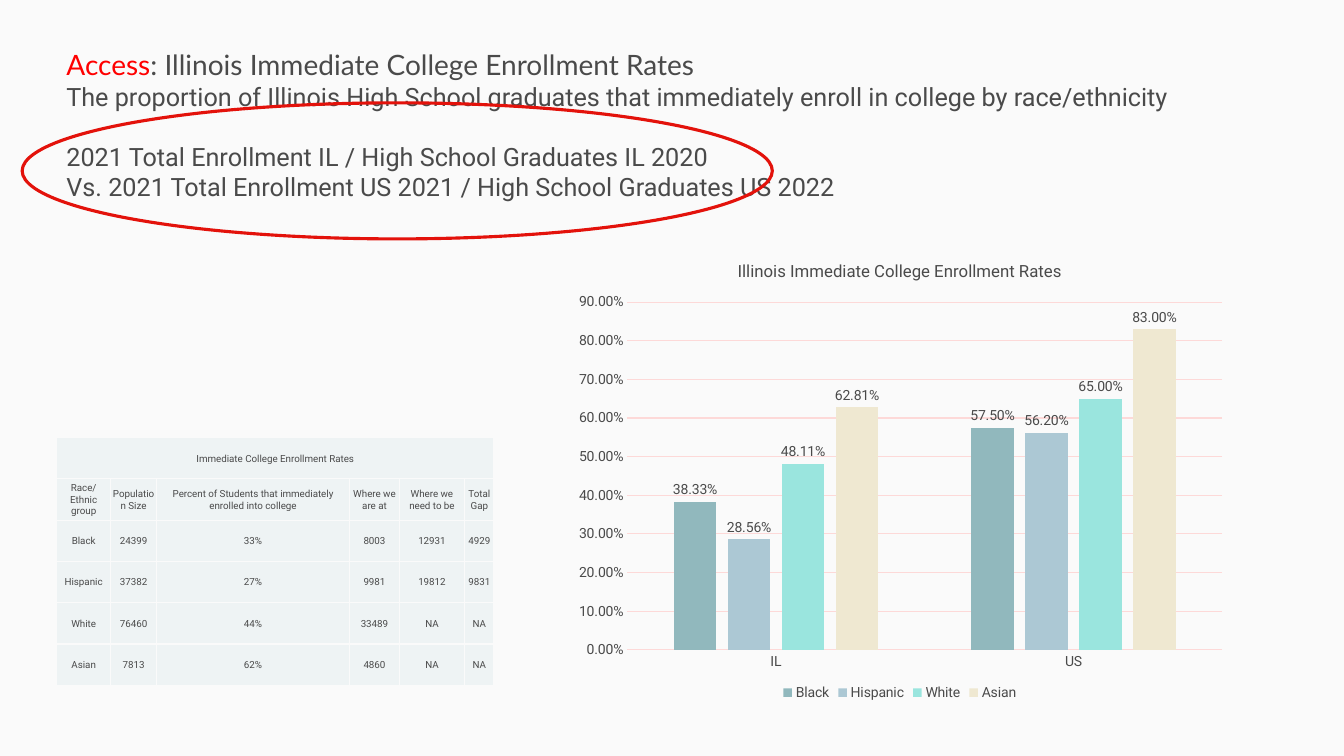
"""Build the Illinois immediate college enrollment slide."""
from lxml import etree
from pptx import Presentation, util as u
from pptx.chart.data import CategoryChartData
from pptx.dml.color import RGBColor
from pptx.enum import chart as ch, shapes, text
from pptx.oxml import parse_xml
from pptx.oxml.ns import nsdecls, qn

INK, PAPER, GRID, CELL = "4A4A4A", "FAFAFA", "FDD9D8", "EEF3F4"


def rgb(value):
    return RGBColor.from_string(value)


def set_font(font, size, color=INK, name="Roboto"):
    font.size, font.name, font.bold = u.Pt(size), name, False
    font.color.rgb = rgb(color)


prs = Presentation()
prs.slide_width, prs.slide_height = u.Inches(13.33), u.Inches(7.5)
s = prs.slides.add_slide(prs.slide_layouts[6])
s.background.fill.solid()
s.background.fill.fore_color.rgb = rgb(PAPER)

tb = s.shapes.add_textbox(u.Inches(0.56), u.Inches(0.42), u.Inches(12.22), u.Inches(1.65))
tf = tb.text_frame
tf.word_wrap = True
p = tf.paragraphs[0]
for words, color in [("Access", "FF0000"),
                     (": Illinois Immediate College Enrollment Rates", INK)]:
    r = p.add_run()
    r.text = words
    set_font(r.font, 20, color, "Lato")
for words, gap in [
    ("The proportion of Illinois High School graduates that immediately enroll in college by race/ethnicity", 0),
    ("2021 Total Enrollment IL / High School Graduates IL 2020", 21.6),
    ("Vs. 2021 Total Enrollment US 2021 / High School Graduates US 2022", 0),
]:
    p = tf.add_paragraph()
    p.text = words
    p.space_before = u.Pt(gap)
    set_font(p.font, 18)

series = [
    ("Black", (0.3833, 0.575), "91B8BD"),
    ("Hispanic", (0.2856, 0.562), "ACC8D4"),
    ("White", (0.4811, 0.65), "9AE5DE"),
    ("Asian", (0.6281, 0.83), "EFE8D1"),
]
data = CategoryChartData(number_format="0.00%")
data.categories = ["IL", "US"]
for name, values, color in series:
    data.add_series(name, values)
chart = s.shapes.add_chart(ch.XL_CHART_TYPE.COLUMN_CLUSTERED, u.Inches(5.58), u.Inches(2.4),
                           u.Inches(6.69), u.Inches(4.59), data).chart
set_font(chart.font, 10)
chart.has_title = True
p = chart.chart_title.text_frame.paragraphs[0]
p.text = "Illinois Immediate College Enrollment Rates"
set_font(p.font, 12)
chart.has_legend = True
chart.legend.position = ch.XL_LEGEND_POSITION.BOTTOM
chart.legend.include_in_layout = False
set_font(chart.legend.font, 10)

cat, val = chart.category_axis, chart.value_axis
for axis in (cat, val):
    axis.major_tick_mark = axis.minor_tick_mark = ch.XL_TICK_MARK.NONE
    set_font(axis.tick_labels.font, 10)
val.minimum_scale, val.maximum_scale, val.major_unit = 0, 0.9, 0.1
val.tick_labels.number_format = "0.00%"
val.tick_labels.number_format_is_linked = False
val.format.line.fill.background()
for line in (cat.format.line, val.major_gridlines.format.line):
    line.color.rgb = rgb(GRID)
    line.width = u.Pt(0.75)

plot = chart.plots[0]
plot.gap_width, plot.overlap, plot.vary_by_categories = 219, -27, False
for bars, (name, values, color) in zip(plot.series, series):
    bars.format.fill.solid()
    bars.format.fill.fore_color.rgb = rgb(color)
    labels = bars.data_labels
    labels.show_value = True
    labels.position = ch.XL_LABEL_POSITION.OUTSIDE_END
    labels.number_format, labels.number_format_is_linked = "0.00%", False
    set_font(labels.font, 10)

area = chart.element.find(".//" + qn("c:plotArea"))
for old in area.findall(qn("c:layout")):
    area.remove(old)
layout = etree.Element(qn("c:layout"))
manual = etree.SubElement(layout, qn("c:manualLayout"))
for tag, value in [("layoutTarget", "inner"), ("xMode", "edge"), ("yMode", "edge"),
                   ("x", "0.096"), ("y", "0.13"), ("w", "0.882"), ("h", "0.752")]:
    etree.SubElement(manual, qn("c:" + tag)).set("val", value)
area.insert(0, layout)

rows = [
    ["Immediate College Enrollment Rates", "", "", "", "", ""],
    ["Race/Ethnic group", "Population Size", "Percent of Students that immediately enrolled into college",
     "Where we are at", "Where we need to be", "Total Gap"],
    ["Black", "24399", "33%", "8003", "12931", "4929"],
    ["Hispanic", "37382", "27%", "9981", "19812", "9831"],
    ["White", "76460", "44%", "33489", "NA", "NA"],
    ["Asian", "7813", "62%", "4860", "NA", "NA"],
]
table = s.shapes.add_table(6, 6, u.Inches(0.56), u.Inches(4.34), u.Inches(4.34), u.Inches(2.45)).table
table.first_row = table.horz_banding = False
for column, width in zip(table.columns, [0.54, 0.45, 1.92, 0.49, 0.65, 0.29]):
    column.width = u.Inches(width)
for i, row in enumerate(rows):
    table.rows[i].height = u.Inches(0.41)
    for j, words in enumerate(row):
        cell = table.cell(i, j)
        cell.margin_left = cell.margin_right = cell.margin_top = u.Inches(0.01)
        cell.margin_bottom = 0
        cell.vertical_anchor = text.MSO_ANCHOR.MIDDLE
        p = cell.text_frame.paragraphs[0]
        p.text = words
        p.alignment = text.PP_ALIGN.CENTER
        set_font(p.font, 7)
        for side in ("lnL", "lnR", "lnT", "lnB"):
            cell._tc.get_or_add_tcPr().append(parse_xml(
                f'<a:{side} {nsdecls("a")} w="12700"><a:solidFill><a:srgbClr val="{PAPER}"/>'
                f'</a:solidFill></a:{side}>'))
        cell.fill.solid()
        cell.fill.fore_color.rgb = rgb(CELL)
table.cell(0, 0).merge(table.cell(0, 5))

sp = s.shapes.add_shape(shapes.MSO_SHAPE.OVAL, u.Inches(0.22), u.Inches(1.02),
                        u.Inches(7.44), u.Inches(1.35))
sp.shadow.inherit = False
sp.fill.background()
sp.line.color.rgb = rgb("E3120B")
sp.line.width = u.Pt(2.25)

prs.save("out.pptx")
